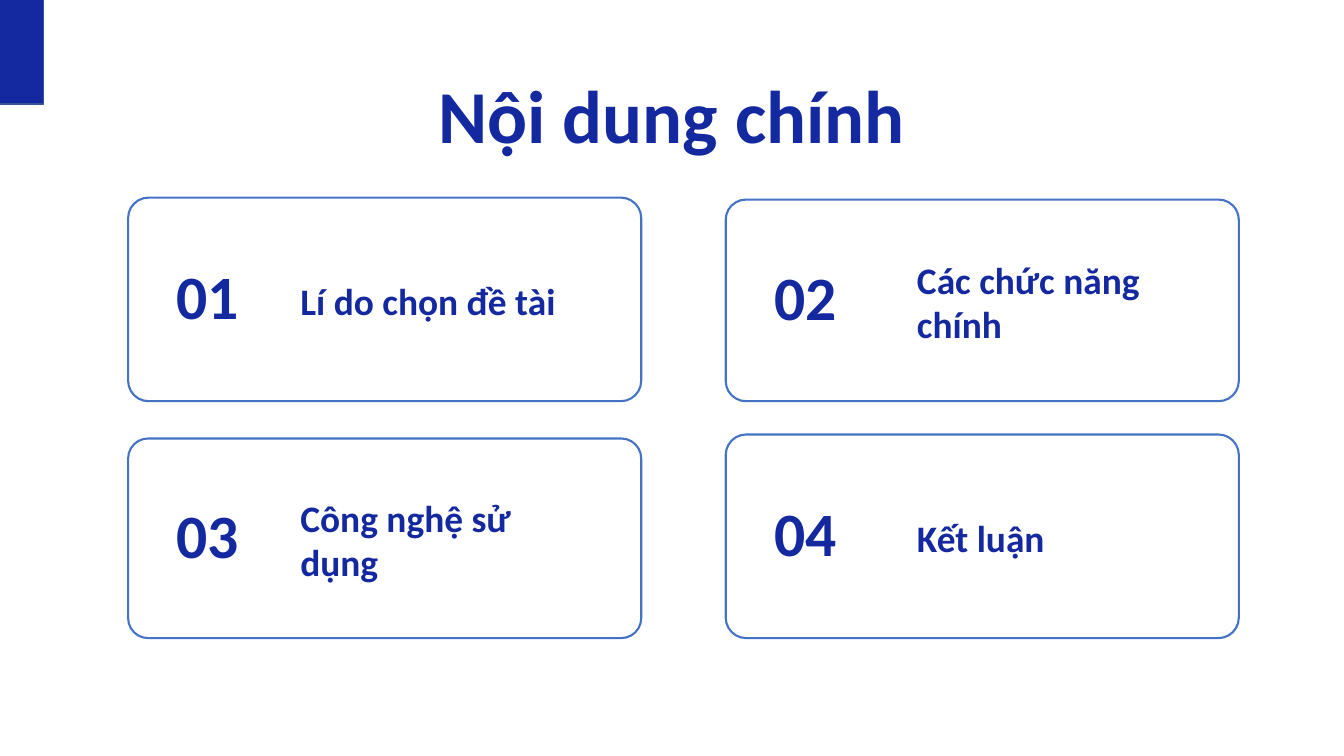
import pptx
import pptx.util
import pptx.dml.color
import pptx.enum.shapes
import pptx.enum.text

Cm = pptx.util.Cm
SHAPE = pptx.enum.shapes.MSO_SHAPE
ALIGN = pptx.enum.text.PP_ALIGN

HUES = {"navy": "1428A0", "blue": "4472C4", "edge": "325491"}
CARD_W = 12.93
# card left, top, height, label left, label text
CARDS = [
    (3.23, 4.98, 5.13, 7.24, "Lí do chọn đề tài"),
    (18.29, 5.03, 5.08, 22.78, "Các chức năng chính"),
    (3.23, 11.05, 5.03, 7.24, "Công nghệ sử dụng"),
    (18.29, 10.95, 5.13, 22.78, "Kết luận"),
]


def hue(name):
    return pptx.dml.color.RGBColor.from_string(HUES[name])


def place(shape, left, top, width, height):
    shape.left, shape.top = Cm(left), Cm(top)
    shape.width, shape.height = Cm(width), Cm(height)


def write(shape, text, size, align, space):
    """Set one bold line of text, centred vertically in its shape."""
    frame = shape.text_frame
    frame.word_wrap = True
    frame.auto_size = pptx.enum.text.MSO_AUTO_SIZE.NONE
    frame.vertical_anchor = pptx.enum.text.MSO_ANCHOR.MIDDLE
    frame.margin_left = frame.margin_right = Cm(0.33)
    frame.margin_top = frame.margin_bottom = Cm(0.33)
    frame.text = text
    para = frame.paragraphs[0]
    para.alignment = align
    para.line_spacing = space
    para.font.name = "Calibri"
    para.font.size = pptx.util.Pt(size)
    para.font.bold = True
    para.font.color.rgb = hue("navy")


def add_box(slide, kind, left, top, width, height, edge, weight, fill=None):
    box = slide.shapes.add_shape(kind, Cm(left), Cm(top), Cm(width), Cm(height))
    box.shadow.inherit = False
    if fill:
        box.fill.solid()
        box.fill.fore_color.rgb = hue(fill)
    else:
        box.fill.background()
    box.line.color.rgb = hue(edge)
    box.line.width = pptx.util.Pt(weight)
    return box


def add_text(slide, left, mid, width, height, *style):
    """Add a text box whose vertical centre is at mid."""
    box = slide.shapes.add_textbox(0, 0, 0, 0)
    place(box, left, mid - height / 2, width, height)
    write(box, *style)


def add_card(slide, num, left, top, height, label_x, label):
    card = add_box(slide, SHAPE.ROUNDED_RECTANGLE, left, top, CARD_W, height,
                   "blue", 1.5)
    card.adjustments[0] = 0.1
    mid = top + height / 2
    add_text(slide, left + 0.57, mid, 2.87, 1.55,
             f"{num:02}", 44, ALIGN.CENTER, 0.9)
    add_text(slide, label_x, mid + 0.03, 7.37, 2.13,
             label, 26.7, ALIGN.LEFT, 1.0)


def main():
    deck = pptx.Presentation()
    deck.slide_width, deck.slide_height = Cm(33.87), Cm(19.05)
    slide = deck.slides.add_slide(deck.slide_layouts.get_by_name("Title Only"))
    title = slide.shapes.title
    place(title, 2.64, 1.93, 28.58, 2.13)
    write(title, "Nội dung chính", 53.3, ALIGN.CENTER, 0.9)
    for num, card in enumerate(CARDS, 1):
        add_card(slide, num, *card)
    add_box(slide, SHAPE.RECTANGLE, -0.81, -0.58, 1.91, 3.2, "edge", 1, "navy")
    deck.save("out.pptx")


if __name__ == "__main__":
    main()
